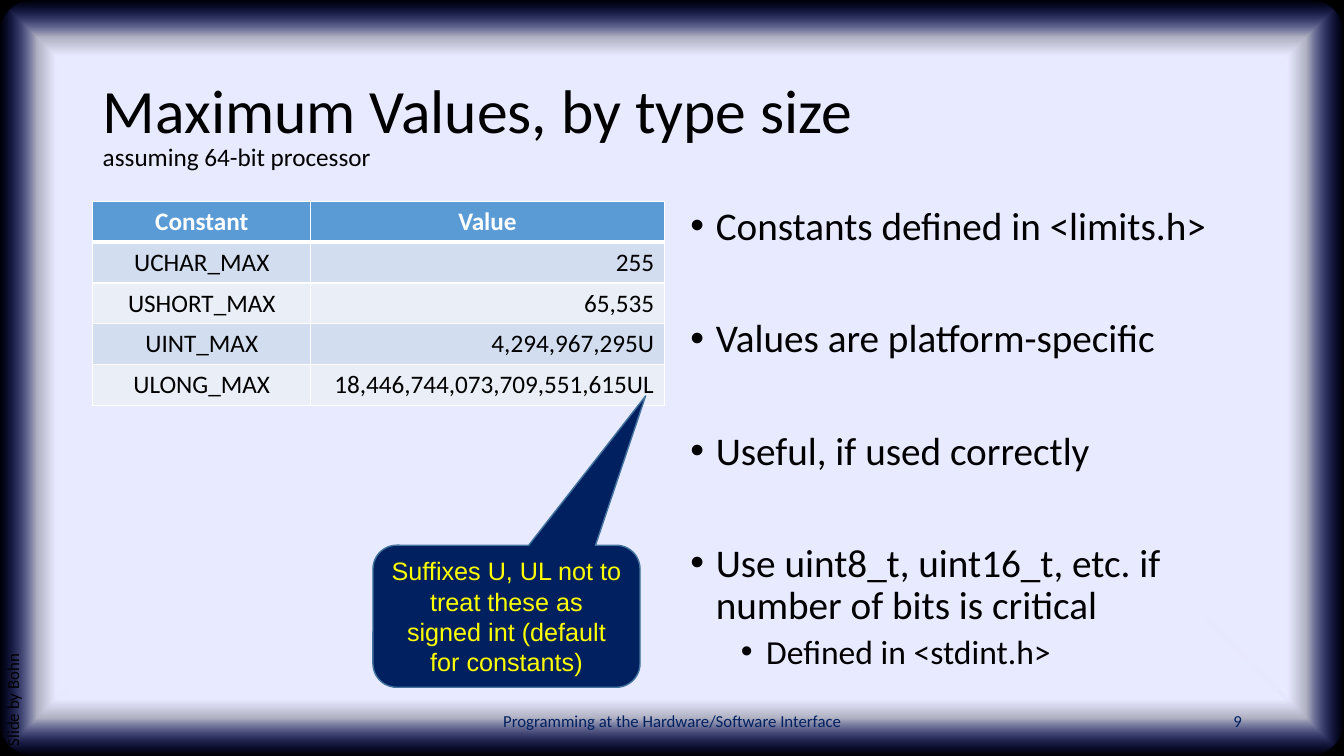
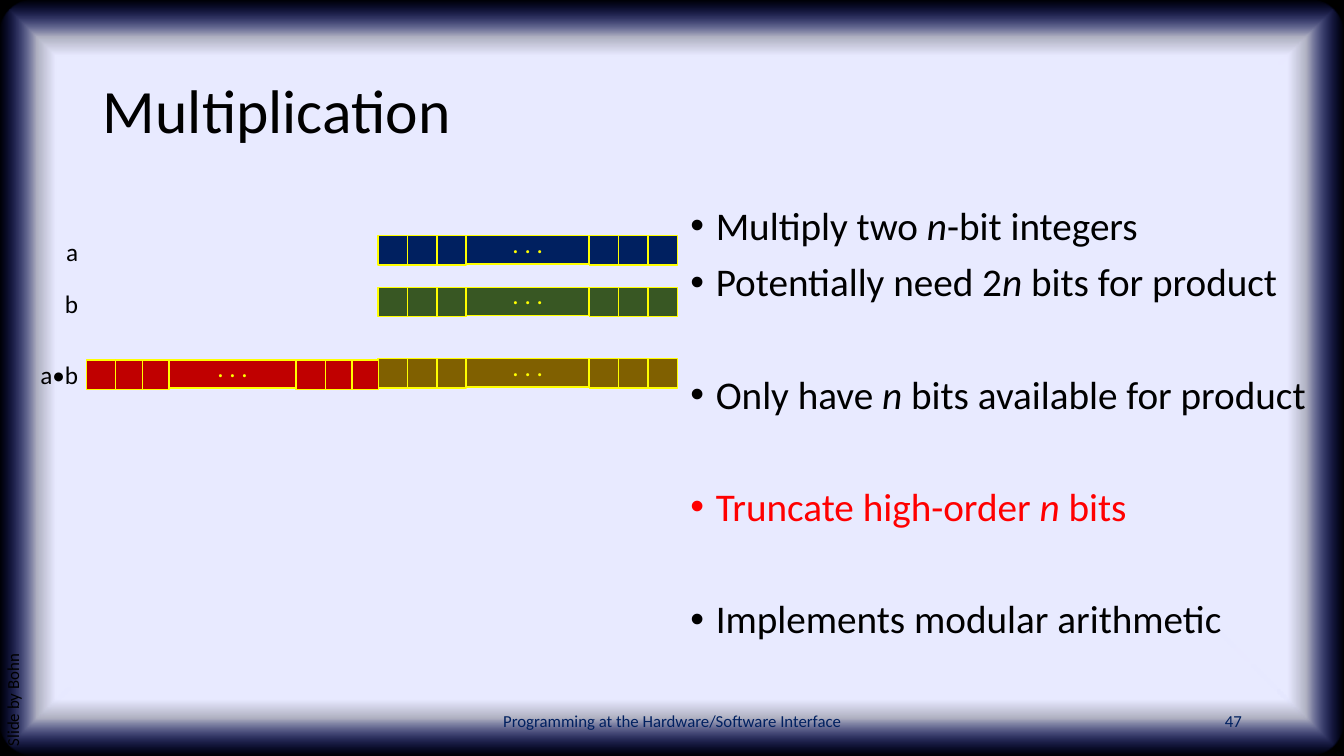
from dataclasses import dataclass
from typing import Optional

from lxml.etree import SubElement
from pptx import Presentation
from pptx.dml.color import RGBColor
from pptx.enum.shapes import MSO_SHAPE as Preset
from pptx.enum.text import MSO_ANCHOR as Anchor, MSO_AUTO_SIZE as AutoSize, PP_ALIGN as Align
from pptx.oxml import parse_xml
from pptx.oxml.ns import qn
from pptx.util import Cm, Pt

COLORS = {
    "black": "000000", "white": "FFFFFF", "navy": "002060", "yellow": "FFFF00",
    "red": "FF0000", "crimson": "C00000", "green": "385723", "olive": "806000",
    "header": "5B9BD5", "band": "D2DEEF", "light": "EAEFF7", "outline": "43739E",
    "page": "E8EAFF", "edge": "162AFF",
}
DRAWING_NS = "http://schemas.openxmlformats.org/drawingml/2006/main"
WIDTH, HEIGHT = 33.87, 19.05


@dataclass(frozen=True)
class Area:
    left: float
    top: float
    width: float
    height: float

    def lengths(self) -> tuple:
        return Cm(self.left), Cm(self.top), Cm(self.width), Cm(self.height)


@dataclass(frozen=True)
class TextStyle:
    size: float
    color: str = "black"
    font: str = "Calibri"
    align: Align = Align.LEFT
    bold: bool = False


@dataclass(frozen=True)
class Bullet:
    text: str
    before: float = 10
    level: int = 0
    color: str = "black"


@dataclass(frozen=True)
class BitRow:
    top: float
    color: str
    left: float
    pitch: float
    dots_width: float
    label: Optional[str] = None
    label_width: float = 0


FULL = Area(0, 0, WIDTH, HEIGHT)
TITLE = Area(2.34, 1.02, 29.21, 3.68)
FOOTER = Area(11.23, 17.65, 11.43, 1.02)
NUMBER = Area(23.93, 17.65, 7.62, 1.02)
CREDIT = Area(-6.2, 11.84, 13.41, 1.02)
TITLE_STYLE = TextStyle(44)
LABEL_STYLE = TextStyle(18, align=Align.RIGHT)
DOTS_STYLE = TextStyle(18, "yellow", align=Align.CENTER)
GAP = 50
CELL = 0.74
LABEL_RIGHT = 2.22

CONSTANTS = [
    ("Constant", "Value"),
    ("UCHAR_MAX", "255"),
    ("USHORT_MAX", "65,535"),
    ("UINT_MAX", "4,294,967,295U"),
    ("ULONG_MAX", "18,446,744,073,709,551,615UL"),
]
LIMIT_BULLETS = [
    Bullet("Constants defined in <limits.h>"),
    Bullet("Values are platform-specific", GAP),
    Bullet("Useful, if used correctly", GAP),
    Bullet("Use uint8_t, uint16_t, etc. if number of bits is critical", GAP),
    Bullet("Defined in <stdint.h>", 5, level=1),
]
PRODUCT_BULLETS = [
    Bullet("Multiply two *n*-bit integers"),
    Bullet("Potentially need 2*n *bits for product"),
    Bullet("Only have *n* bits available for product", GAP),
    Bullet("Truncate high-order *n* bits", GAP, color="red"),
    Bullet("Implements modular arithmetic", GAP),
]
BIT_ROWS = [
    BitRow(5.94, "navy", 9.53, CELL, 3.1, "a", 0.81),
    BitRow(7.24, "green", 9.53, CELL, 3.1, "b", 0.86),
    BitRow(9.04, "olive", 9.53, CELL, 3.1, "a•b", 1.47),
    BitRow(9.07, "crimson", 2.18, 0.67, 3.2),
]


def rgb(name: str) -> RGBColor:
    return RGBColor.from_string(COLORS[name])


def style_para(para, style: TextStyle) -> None:
    para.alignment = style.align
    para.font.size = Pt(style.size)
    para.font.name = style.font
    para.font.bold = style.bold
    para.font.color.rgb = rgb(style.color)


def add_text(page, area: Area, text: str, style: TextStyle, anchor=Anchor.TOP):
    box = page.shapes.add_textbox(*area.lengths())
    frame = box.text_frame
    frame.word_wrap = True
    frame.vertical_anchor = anchor
    frame.text = text
    style_para(frame.paragraphs[0], style)
    return box


def add_fitted_text(page, area: Area, text: str, style: TextStyle) -> None:
    frame = add_text(page, area, text, style).text_frame
    frame.word_wrap = False
    frame.auto_size = AutoSize.SHAPE_TO_FIT_TEXT


def add_filled(page, preset: Preset, area: Area, fill: str, line: Optional[str] = None):
    shape = page.shapes.add_shape(preset, *area.lengths())
    shape.shadow.inherit = False
    shape.fill.solid()
    shape.fill.fore_color.rgb = rgb(fill)
    if line:
        shape.line.color.rgb = rgb(line)
        shape.line.width = Pt(1)
    else:
        shape.line.fill.background()
    return shape


def add_backdrop(layout, page) -> None:
    base = add_filled(page, Preset.RECTANGLE, FULL, "black")
    glow = add_filled(page, Preset.ROUNDED_RECTANGLE, FULL, "page")
    glow.adjustments[0] = 0.048
    stops = "".join(
        f'<a:gs pos="{place * 1000}"><a:srgbClr val="{COLORS[name]}">'
        f'<a:alpha val="{alpha * 1000}"/></a:srgbClr></a:gs>'
        for place, name, alpha in [(85, "page", 100), (90, "page", 75), (100, "edge", 0)]
    )
    gradient = parse_xml(
        f'<a:gradFill xmlns:a="{DRAWING_NS}" rotWithShape="1"><a:gsLst>{stops}</a:gsLst>'
        '<a:path path="shape"><a:fillToRect l="50000" t="50000" r="50000" b="50000"/>'
        '</a:path></a:gradFill>'
    )
    solid = glow.element.spPr.find(qn("a:solidFill"))
    solid.getparent().replace(solid, gradient)
    for index, shape in enumerate((base, glow), start=2):
        layout.shapes.element.insert(index, shape.element)


def add_page(deck, layout, title: str, number: int):
    page = deck.slides.add_slide(layout)
    heading = page.shapes.title
    heading.left, heading.top, heading.width, heading.height = TITLE.lengths()
    heading.text_frame.text = title
    heading.text_frame.vertical_anchor = Anchor.MIDDLE
    para = heading.text_frame.paragraphs[0]
    para.line_spacing = 0.9
    style_para(para, TITLE_STYLE)
    add_text(page, FOOTER, "Programming at the Hardware/Software Interface",
             TextStyle(12, "navy", align=Align.CENTER), Anchor.MIDDLE)
    add_text(page, NUMBER, str(number),
             TextStyle(12, "navy", align=Align.RIGHT), Anchor.MIDDLE)
    credit = add_text(page, CREDIT, "Slide by Bohn", TextStyle(12))
    credit.rotation = 270
    credit.text_frame.paragraphs[0].line_spacing = 0.9
    credit.text_frame.paragraphs[0].space_before = Pt(10)
    return page


def add_bullets(page, area: Area, bullets: list[Bullet]) -> None:
    frame = page.shapes.add_textbox(*area.lengths()).text_frame
    frame.word_wrap = True
    for index, bullet in enumerate(bullets):
        para = frame.add_paragraph() if index else frame.paragraphs[0]
        para.level = bullet.level
        properties = para._p.get_or_add_pPr()
        properties.set("marL", str(Cm(0.64 + 1.27 * bullet.level)))
        properties.set("indent", str(Cm(-0.64)))
        SubElement(properties, qn("a:buFont")).set("typeface", "Arial")
        SubElement(properties, qn("a:buChar")).set("char", "•")
        para.line_spacing = 0.9
        para.space_before = Pt(bullet.before)
        style_para(para, TextStyle(24 if bullet.level else 28, bullet.color))
        for part, text in enumerate(bullet.text.split("*")):
            span = para.add_run()
            span.text = text
            if part % 2:
                span.font.italic = True


def add_borders(cell, header: bool) -> None:
    properties = cell._tc.get_or_add_tcPr()
    for index, side in enumerate(("lnL", "lnR", "lnT", "lnB")):
        points = 3 if header and side == "lnB" else 1
        properties.insert(index, parse_xml(
            f'<a:{side} xmlns:a="{DRAWING_NS}" w="{Pt(points)}"><a:solidFill>'
            f'<a:srgbClr val="{COLORS["white"]}"/></a:solidFill></a:{side}>'
        ))


def add_constants(page, area: Area) -> None:
    table = page.shapes.add_table(len(CONSTANTS), 2, *area.lengths()).table
    for column, width in zip(table.columns, (5.49, 8.91)):
        column.width = Cm(width)
    for row, values in enumerate(CONSTANTS):
        header = row == 0
        fill = "header" if header else ("band" if row % 2 else "light")
        for column, text in enumerate(values):
            cell = table.cell(row, column)
            cell.text = text
            cell.fill.solid()
            cell.fill.fore_color.rgb = rgb(fill)
            align = Align.CENTER if header or column == 0 else Align.RIGHT
            style_para(cell.text_frame.paragraphs[0],
                       TextStyle(18, "white" if header else "black", align=align, bold=header))
            add_borders(cell, header)


def add_callout(page, area: Area, text: str) -> None:
    callout = add_filled(page, Preset.ROUNDED_RECTANGULAR_CALLOUT, area, "navy", "outline")
    for index, value in enumerate((0.521, -1.551, 0.167)):
        callout.adjustments[index] = value
    callout.text_frame.text = text
    callout.text_frame.vertical_anchor = Anchor.MIDDLE
    style_para(callout.text_frame.paragraphs[0],
               TextStyle(18, "yellow", "Arial", Align.CENTER))


def add_bit_row(page, row: BitRow) -> None:
    dots_left = row.left + 2 * row.pitch + CELL
    right_group = dots_left + row.dots_width
    for start in (right_group, row.left):
        for place in reversed(range(3)):
            bit = Area(start + place * row.pitch, row.top, CELL, CELL)
            add_filled(page, Preset.RECTANGLE, bit, row.color, "yellow")
    dots = add_filled(page, Preset.RECTANGLE,
                      Area(dots_left, row.top, row.dots_width, 0.71), row.color, "yellow")
    frame = dots.text_frame
    frame.margin_top, frame.margin_bottom = 0, Cm(0.34)
    frame.vertical_anchor = Anchor.MIDDLE
    frame.text = ". . ."
    style_para(frame.paragraphs[0], DOTS_STYLE)
    if row.label:
        label = Area(LABEL_RIGHT - row.label_width, row.top - 0.1, row.label_width, 1.02)
        add_fitted_text(page, label, row.label, LABEL_STYLE)


def main() -> None:
    deck = Presentation()
    deck.slide_width, deck.slide_height = Cm(WIDTH), Cm(HEIGHT)
    layout = deck.slide_layouts.get_by_name("Title Only")

    limits = add_page(deck, layout, "Maximum Values, by type size", 9)
    add_backdrop(layout, limits)
    add_constants(limits, Area(2.34, 5.08, 14.4, 5.13))
    add_bullets(limits, Area(17.15, 5.08, 14.4, 12.09), LIMIT_BULLETS)
    add_fitted_text(limits, Area(2.34, 3.43, 7.39, 1.02),
                    "assuming 64-bit processor", TextStyle(18))
    add_callout(limits, Area(9.4, 13.74, 6.73, 3.58),
                "Suffixes U, UL not to treat these as signed int (default for constants)")

    product = add_page(deck, layout, "Multiplication", 47)
    add_bullets(product, Area(17.15, 5.08, 16.28, 12.95), PRODUCT_BULLETS)
    for row in BIT_ROWS:
        add_bit_row(product, row)
    deck.save("out.pptx")


main()
